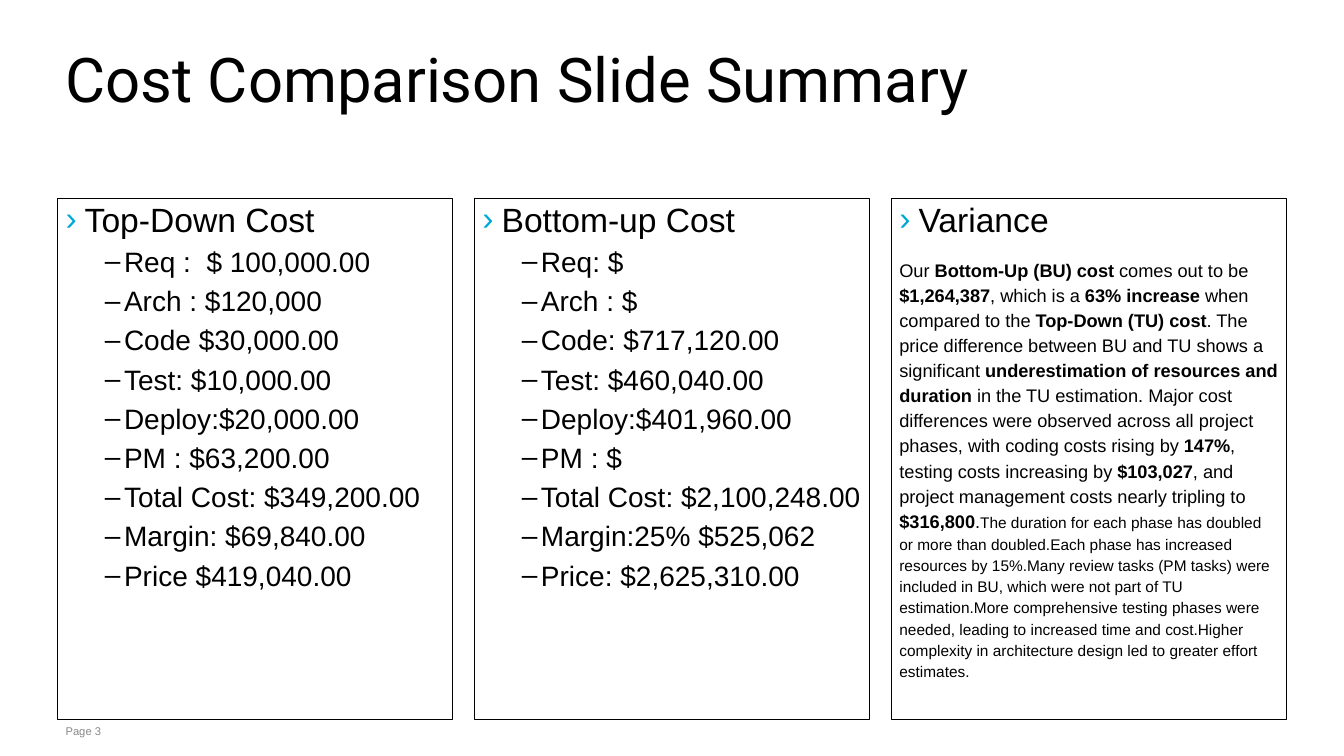
from lxml import etree
from pptx import Presentation
from pptx.dml.color import RGBColor
from pptx.enum.shapes import MSO_SHAPE
from pptx.enum.text import MSO_ANCHOR, MSO_AUTO_SIZE, PP_ALIGN
from pptx.oxml.ns import qn
from pptx.util import Inches, Pt

RECTANGLE = MSO_SHAPE.RECTANGLE
TOP, MIDDLE = MSO_ANCHOR.TOP, MSO_ANCHOR.MIDDLE
LEFT = PP_ALIGN.LEFT
NO_FIT = MSO_AUTO_SIZE.NONE

BLACK = RGBColor(0x00, 0x00, 0x00)
GRAY = RGBColor(0x87, 0x88, 0x8A)
CYAN = RGBColor(0x00, 0xA9, 0xD4)

SLIDE_WIDTH, SLIDE_HEIGHT = 13.33, 7.5
MARGIN, GUTTER = 0.57, 0.215
COLUMNS_TOP, COLUMNS_HEIGHT = 1.97, 5.17
HANGING = 0.19

HEADING = {"size": Pt(24), "name": "Arial", "bold": False}
ITEM = {"size": Pt(20), "name": "Arial", "bold": False}
SUMMARY = {"size": Pt(13), "name": "Arial", "bold": False}
STRONG = {**SUMMARY, "bold": True}
DETAIL = {**SUMMARY, "size": Pt(11)}
TITLE = {"size": Pt(44), "name": "Roboto", "bold": False}
FOOTER = {"size": Pt(8), "name": "Arial", "bold": False}

TOP_DOWN = [
    "Req :  $ 100,000.00", "Arch : $120,000", "Code $30,000.00",
    "Test: $10,000.00", "Deploy:$20,000.00", "PM : $63,200.00",
    "Total Cost: $349,200.00", "Margin: $69,840.00", "Price $419,040.00",
]
BOTTOM_UP = [
    "Req: $", "Arch : $", "Code: $717,120.00", "Test: $460,040.00",
    "Deploy:$401,960.00", "PM : $", "Total Cost: $2,100,248.00",
    "Margin:25% $525,062", "Price: $2,625,310.00",
]
VARIANCE = [
    ("Our ", SUMMARY),
    ("Bottom-Up (BU) cost", STRONG),
    (" comes out to be ", SUMMARY),
    ("$1,264,387", STRONG),
    (", which is a ", SUMMARY),
    ("63% increase", STRONG),
    (" when compared to the ", SUMMARY),
    ("Top-Down (TU) cost", STRONG),
    (". The price difference between BU and TU shows a significant ", SUMMARY),
    ("underestimation of resources and duration", STRONG),
    (" in the TU estimation. Major cost differences were observed across all "
     "project phases, with coding costs rising by ", SUMMARY),
    ("147%", STRONG),
    (", testing costs increasing by ", SUMMARY),
    ("$103,027", STRONG),
    (", and project management costs nearly tripling to ", SUMMARY),
    ("$316,800", STRONG),
    (".", SUMMARY),
    ("The duration for each phase has doubled or more than doubled."
     "Each phase has increased resources by 15%."
     "Many review tasks (PM tasks) were included in BU, which were not part of "
     "TU estimation.More comprehensive testing phases were needed, leading to "
     "increased time and cost.Higher complexity in architecture design led to "
     "greater effort estimates.", DETAIL),
]


def set_frame(frame, anchor, inset):
    """Set wrapping, anchor and insets of a text frame."""
    values = {
        "word_wrap": True, "auto_size": NO_FIT, "vertical_anchor": anchor,
        "margin_left": Inches(0.08), "margin_right": Inches(0.08),
        "margin_top": Inches(inset), "margin_bottom": Inches(inset),
    }
    for attribute, value in values.items():
        setattr(frame, attribute, value)


def add_run(paragraph, text, style, color=BLACK):
    """Append a run with the given font values."""
    run = paragraph.add_run()
    run.text = text
    for attribute, value in style.items():
        setattr(run.font, attribute, value)
    run.font.color.rgb = color


def set_bullet(paragraph, mark, color, indent):
    """Give a paragraph a coloured bullet with a hanging indent."""
    properties = paragraph._p.get_or_add_pPr()
    properties.set("marL", str(Inches(indent)))
    properties.set("indent", str(-Inches(HANGING)))
    bullet_color = etree.SubElement(properties, qn("a:buClr"))
    etree.SubElement(bullet_color, qn("a:srgbClr"), val=str(color))
    etree.SubElement(properties, qn("a:buFont"), typeface="Arial")
    etree.SubElement(properties, qn("a:buChar"), char=mark)


def add_column(slide, box, heading):
    """Draw an outlined column with its heading and return its text frame."""
    column = slide.shapes.add_shape(RECTANGLE, *map(Inches, box))
    column.shadow.inherit = False
    column.fill.background()
    column.line.color.rgb = BLACK
    column.line.width = Pt(0.75)
    frame = column.text_frame
    set_frame(frame, TOP, 0)
    first = frame.paragraphs[0]
    first.alignment = LEFT
    set_bullet(first, "›", CYAN, HANGING)
    add_run(first, heading, HEADING)
    return frame


def add_cost_column(slide, box, heading, costs):
    """Draw a column that lists costs."""
    frame = add_column(slide, box, heading)
    for cost in costs:
        item = frame.add_paragraph()
        item.level = 1
        item.alignment = LEFT
        item.space_before = Pt(4)
        set_bullet(item, "–", BLACK, 0.58)
        add_run(item, cost, ITEM)


def add_variance_column(slide, box):
    """Draw the column that explains the variance."""
    explanation = add_column(slide, box, "Variance").add_paragraph()
    explanation.alignment = LEFT
    explanation.line_spacing = 1.15
    explanation.space_before = Pt(12)
    for text, style in VARIANCE:
        add_run(explanation, text, style)


def place_title(slide, box, text):
    """Move and format the title placeholder."""
    title = slide.shapes.title
    title.left, title.top, title.width, title.height = map(Inches, box)
    set_frame(title.text_frame, MIDDLE, 0)
    line = title.text_frame.paragraphs[0]
    line.alignment = LEFT
    line.line_spacing = 0.75
    add_run(line, text, TITLE)


def add_footer(slide, box, text):
    """Write the page label."""
    frame = slide.shapes.add_textbox(*map(Inches, box)).text_frame
    set_frame(frame, TOP, 0.05)
    add_run(frame.paragraphs[0], text, FOOTER, GRAY)


def main():
    """Build and save the cost comparison slide."""
    deck = Presentation()
    deck.slide_width, deck.slide_height = Inches(SLIDE_WIDTH), Inches(SLIDE_HEIGHT)
    slide = deck.slides.add_slide(deck.slide_layouts[5])
    column_width = (SLIDE_WIDTH - 2 * MARGIN - 2 * GUTTER) / 3
    top_down, bottom_up, variance = [
        (MARGIN + i * (column_width + GUTTER), COLUMNS_TOP, column_width, COLUMNS_HEIGHT)
        for i in range(3)
    ]
    add_footer(slide, (MARGIN, COLUMNS_TOP + COLUMNS_HEIGHT, 10.79, 0.24), "Page 3")
    add_variance_column(slide, variance)
    add_cost_column(slide, bottom_up, "Bottom-up Cost", BOTTOM_UP)
    add_cost_column(slide, top_down, "Top-Down Cost", TOP_DOWN)
    place_title(slide, (MARGIN, 0.26, 10.93, 1.19), "Cost Comparison Slide Summary")
    deck.save("out.pptx")


if __name__ == "__main__":
    main()
